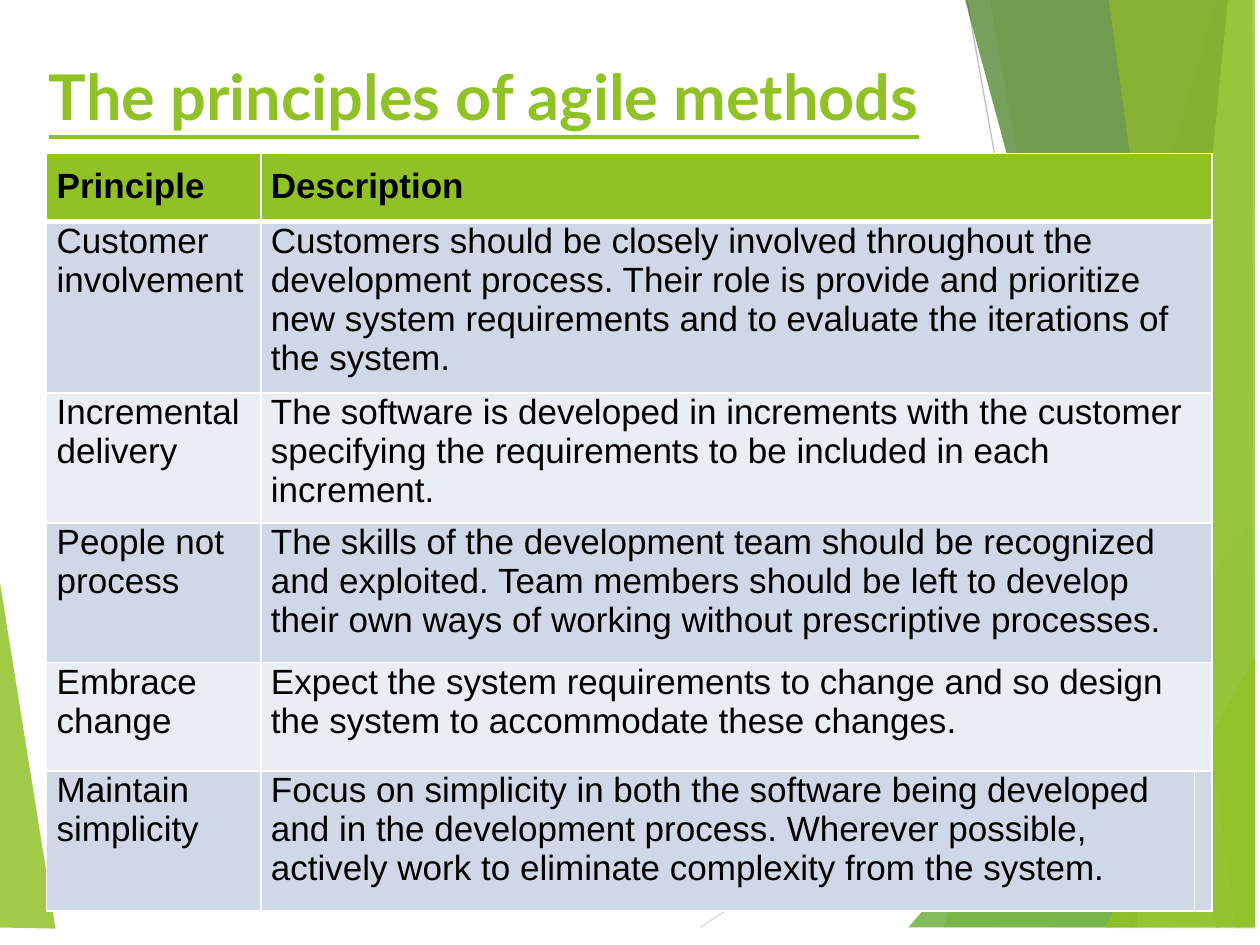
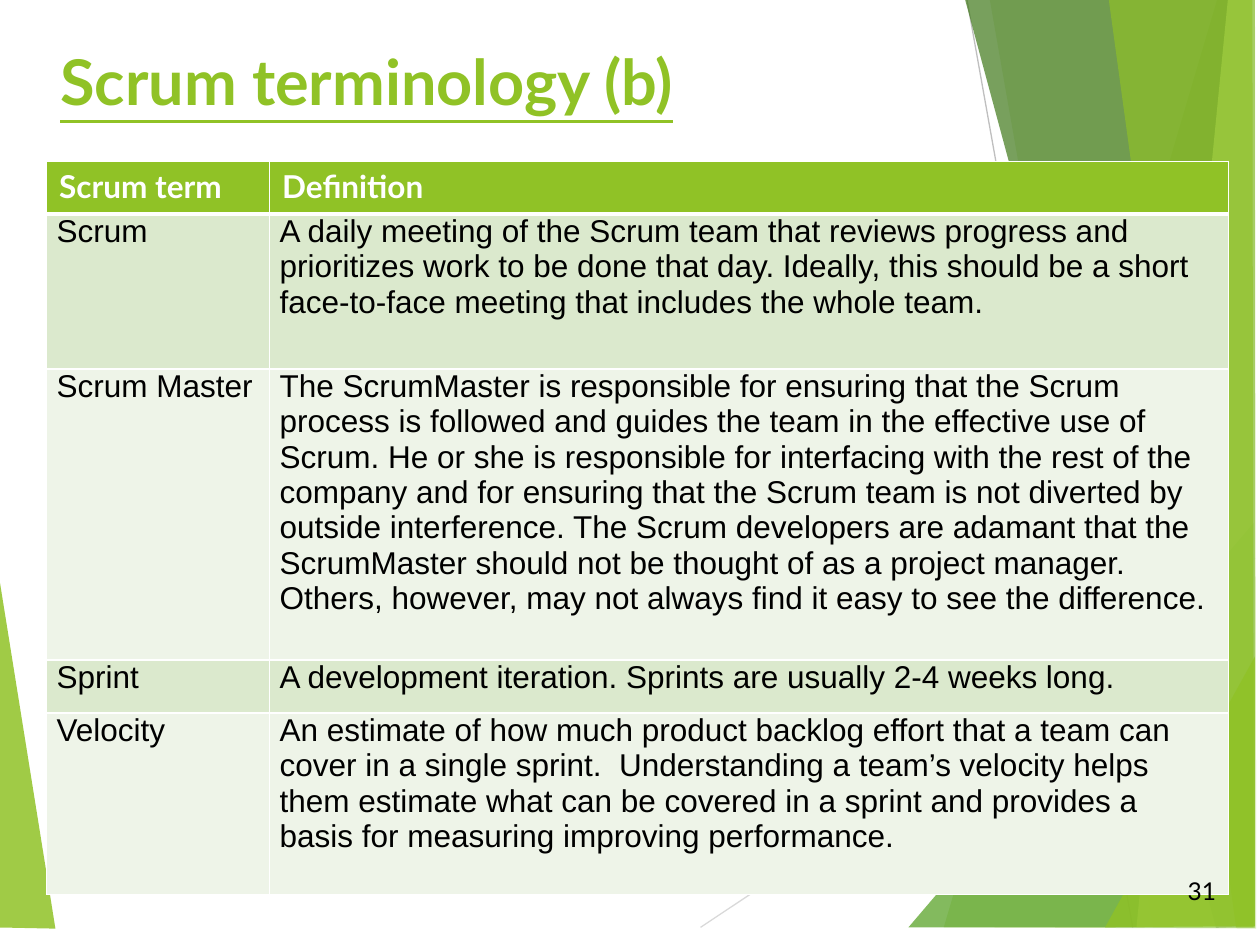
from dataclasses import dataclass

from lxml import etree
from pptx import Presentation
from pptx.dml.color import RGBColor
from pptx.enum.shapes import MSO_CONNECTOR
from pptx.enum.text import MSO_ANCHOR, PP_ALIGN
from pptx.oxml.ns import qn
from pptx.util import Inches, Pt


@dataclass(frozen=True)
class Theme:
    green: str = "90C226"
    leaf: str = "54A021"
    forest: str = "3F7819"
    lime: str = "C0E474"
    light_gray: str = "D9D9D9"
    mid_gray: str = "BFBFBF"
    black: str = "000000"
    white: str = "FFFFFF"
    blue_bands: tuple = ("D0D8E8", "E9EDF4")
    green_bands: tuple = ("DBE9CD", "EEF4E8")
    heading_font: str = "Lato"
    body_font: str = "Arial"
    title_size: int = 36
    large_size: int = 20
    body_size: int = 18
    number_size: int = 14
    thin: int = 1
    thick: int = 3


THEME = Theme()

# Facets of the backdrop: colour, opacity in percent, corner points
LEFT_FACET = (THEME.green, 85, [(-0.06, 4.25), (0.44, 7.37), (-0.06, 7.36)])
RIGHT_FACETS = [
    (THEME.green, 30, [(9.7, -0.14), (7.49, 7.36), (9.97, 7.37), (9.96, -0.13)]),
    (THEME.green, 20, [(7.83, -0.15), (9.15, 7.36), (9.96, 7.36), (9.96, -0.15)]),
    (THEME.leaf, 72, [(7.21, 7.36), (9.95, 4.15), (9.96, 7.36)]),
    (THEME.forest, 70, [(7.62, -0.15), (9.65, 7.36), (9.96, 7.35), (9.96, -0.15)]),
    (THEME.lime, 70, [(9.76, -0.15), (9.02, 7.36), (9.96, 7.36), (9.96, -0.15)]),
    (THEME.green, 65, [(8.78, -0.15), (9.81, 7.36), (9.95, 7.36), (9.94, -0.15)]),
    (THEME.green, 80, [(8.77, 7.36), (9.96, 5.21), (9.96, 7.35)]),
]
RAYS = [
    (THEME.light_gray, (5.56, 7.36), (9.96, 4.43)),
    (THEME.mid_gray, (7.65, -0.14), (8.99, 7.36)),
]


@dataclass(frozen=True)
class CellStyle:
    """Type and insets (left, top, right, bottom) of one kind of table cell."""
    font: str
    size: int
    color: str
    insets: tuple
    bold: bool = False


class Deck:
    def __init__(self, theme):
        self.theme = theme
        self.presentation = Presentation()
        self.presentation.slide_width = Inches(10)
        self.presentation.slide_height = Inches(7.5)
        self.slide = None

    def new_slide(self):
        layout = self.presentation.slide_layouts[6]
        self.slide = self.presentation.slides.add_slide(layout)
        self.backdrop()

    # Backdrop
    def backdrop(self):
        shapes = self.slide.shapes.add_group_shape().shapes
        self.facet(shapes, *LEFT_FACET)
        for ray in RAYS:
            self.ray(shapes, *ray)
        for facet in RIGHT_FACETS:
            self.facet(shapes, *facet)

    def facet(self, shapes, color, opacity, points):
        corners = [(Inches(x), Inches(y)) for x, y in points]
        builder = shapes.build_freeform(*corners[0], scale=1.0)
        builder.add_line_segments(corners[1:], close=True)
        shape = builder.convert_to_shape()
        shape.shadow.inherit = False
        shape.line.fill.background()
        shape.fill.solid()
        shape.fill.fore_color.rgb = RGBColor.from_string(color)
        fill_color = shape.element.spPr.find(f".//{qn('a:srgbClr')}")
        etree.SubElement(fill_color, qn("a:alpha"), val=str(opacity * 1000))

    def ray(self, shapes, color, start, end):
        ends = [Inches(value) for value in start + end]
        connector = shapes.add_connector(MSO_CONNECTOR.STRAIGHT, *ends)
        connector.line.color.rgb = RGBColor.from_string(color)
        connector.line.width = Pt(0.75)
        etree.SubElement(connector.element.spPr, qn("a:effectLst"))

    # Text
    def add_run(self, paragraph, text, font, size, color, bold=False):
        run = paragraph.add_run()
        run.text = text
        run.font.name = font
        run.font.size = Pt(size)
        run.font.bold = bold
        run.font.color.rgb = RGBColor.from_string(color)
        return run

    def text_box(self, left, top, width, height, anchor):
        box = self.slide.shapes.add_textbox(
            Inches(left), Inches(top), Inches(width), Inches(height))
        box.text_frame.word_wrap = True
        box.text_frame.vertical_anchor = anchor
        return box.text_frame.paragraphs[0]

    def title(self, text, left, top, height):
        theme = self.theme
        paragraph = self.text_box(left, top, 8.41, height, MSO_ANCHOR.TOP)
        run = self.add_run(paragraph, text, theme.heading_font,
                           theme.title_size, theme.green, bold=True)
        run.font.underline = True

    def slide_number(self, number):
        theme = self.theme
        paragraph = self.text_box(9.19, 6.87, 0.56, 0.4, MSO_ANCHOR.MIDDLE)
        paragraph.alignment = PP_ALIGN.RIGHT
        self.add_run(paragraph, str(number), theme.heading_font,
                     theme.number_size, theme.black)

    # Table
    def table(self, top, widths, heights, rows, header, body, bands):
        frame = self.slide.shapes.add_table(
            len(heights), len(widths), Inches(0.37), Inches(top),
            Inches(sum(widths)), Inches(sum(heights)))
        table = frame.table
        table.horz_banding = False
        for column, width in zip(table.columns, widths):
            column.width = Inches(width)
        for row, height in zip(table.rows, heights):
            row.height = Inches(height)
        for row_index, texts in enumerate(rows):
            style = body if row_index else header
            color = bands[(row_index - 1) % 2] if row_index else self.theme.green
            for column_index in range(len(widths)):
                cell = table.cell(row_index, column_index)
                self.borders(cell, row_index)
                cell.fill.solid()
                cell.fill.fore_color.rgb = RGBColor.from_string(color)
                if column_index < len(texts):
                    self.insets(cell, style.insets)
                    self.add_run(cell.text_frame.paragraphs[0],
                                 texts[column_index], style.font,
                                 style.size, style.color, style.bold)
                else:
                    self.insets(cell, (0, 0, 0, 0))
        return table

    def insets(self, cell, insets):
        (cell.margin_left, cell.margin_top,
         cell.margin_right, cell.margin_bottom) = map(Inches, insets)

    def borders(self, cell, row_index):
        theme = self.theme
        widths = {
            "a:lnL": theme.thin,
            "a:lnR": theme.thin,
            "a:lnT": theme.thick if row_index == 1 else theme.thin,
            "a:lnB": theme.thick if row_index == 0 else theme.thin,
        }
        properties = cell._tc.get_or_add_tcPr()
        for side, width in widths.items():
            line = etree.SubElement(properties, qn(side), w=str(Pt(width)))
            fill = etree.SubElement(line, qn("a:solidFill"))
            etree.SubElement(fill, qn("a:srgbClr"), val=theme.white)


PRINCIPLES = [
    ("Principle", "Description"),
    ("Customer involvement",
     "Customers should be closely involved throughout the development process. "
     "Their role is provide and prioritize new system requirements and to "
     "evaluate the iterations of the system."),
    ("Incremental delivery",
     "The software is developed in increments with the customer specifying the "
     "requirements to be included in each increment."),
    ("People not process",
     "The skills of the development team should be recognized and exploited. "
     "Team members should be left to develop their own ways of working without "
     "prescriptive processes."),
    ("Embrace change",
     "Expect the system requirements to change and so design the system to "
     "accommodate these changes."),
    ("Maintain simplicity",
     "Focus on simplicity in both the software being developed and in the "
     "development process. Wherever possible, actively work to eliminate "
     "complexity from the system."),
]

SCRUM_TERMS = [
    ("Scrum term", "Definition"),
    ("Scrum",
     "A daily meeting of the Scrum team that reviews progress and prioritizes "
     "work to be done that day. Ideally, this should be a short face-to-face "
     "meeting that includes the whole team."),
    ("Scrum Master",
     "The ScrumMaster is responsible for ensuring that the Scrum process is "
     "followed and guides the team in the effective use of Scrum. He or she is "
     "responsible for interfacing with the rest of the company and for ensuring "
     "that the Scrum team is not diverted by outside interference. The Scrum "
     "developers are adamant that the ScrumMaster should not be thought of as a "
     "project manager. Others, however, may not always find it easy to see the "
     "difference."),
    ("Sprint", "A development iteration. Sprints are usually 2-4 weeks long."),
    ("Velocity",
     "An estimate of how much product backlog effort that a team can cover in a "
     "single sprint.  Understanding a team’s velocity helps them estimate what "
     "can be covered in a sprint and provides a basis for measuring improving "
     "performance."),
]


def principles_slide(deck):
    theme = deck.theme
    deck.new_slide()
    deck.title("The principles of agile methods", 0.29, 0.41, 0.96)
    table = deck.table(
        1.22, [1.7, 7.41, 0.14], [0.54, 1.36, 1.03, 1.11, 0.86, 1.11], PRINCIPLES,
        CellStyle(theme.body_font, theme.large_size, theme.black,
                  (0.08, 0.1, 0.08, 0.1), bold=True),
        CellStyle(theme.body_font, theme.large_size, theme.black,
                  (0.08, 0, 0.08, 0.02)),
        theme.blue_bands)
    # Every description but the last spans the narrow third column
    for row_index in range(len(PRINCIPLES) - 1):
        table.cell(row_index, 1).merge(table.cell(row_index, 2))


def scrum_slide(deck):
    theme = deck.theme
    deck.new_slide()
    deck.title("Scrum terminology (b)", 0.38, 0.29, 0.81)
    deck.table(
        1.28, [1.77, 7.61], [0.42, 1.23, 2.31, 0.42, 1.44], SCRUM_TERMS,
        CellStyle(theme.heading_font, theme.body_size, theme.white,
                  (0.1, 0.05, 0.1, 0.05), bold=True),
        CellStyle(theme.body_font, theme.body_size, theme.black,
                  (0.08, 0, 0.08, 0)),
        theme.green_bands)
    deck.slide_number(31)


def main():
    deck = Deck(THEME)
    principles_slide(deck)
    scrum_slide(deck)
    deck.presentation.save("out.pptx")


if __name__ == "__main__":
    main()
